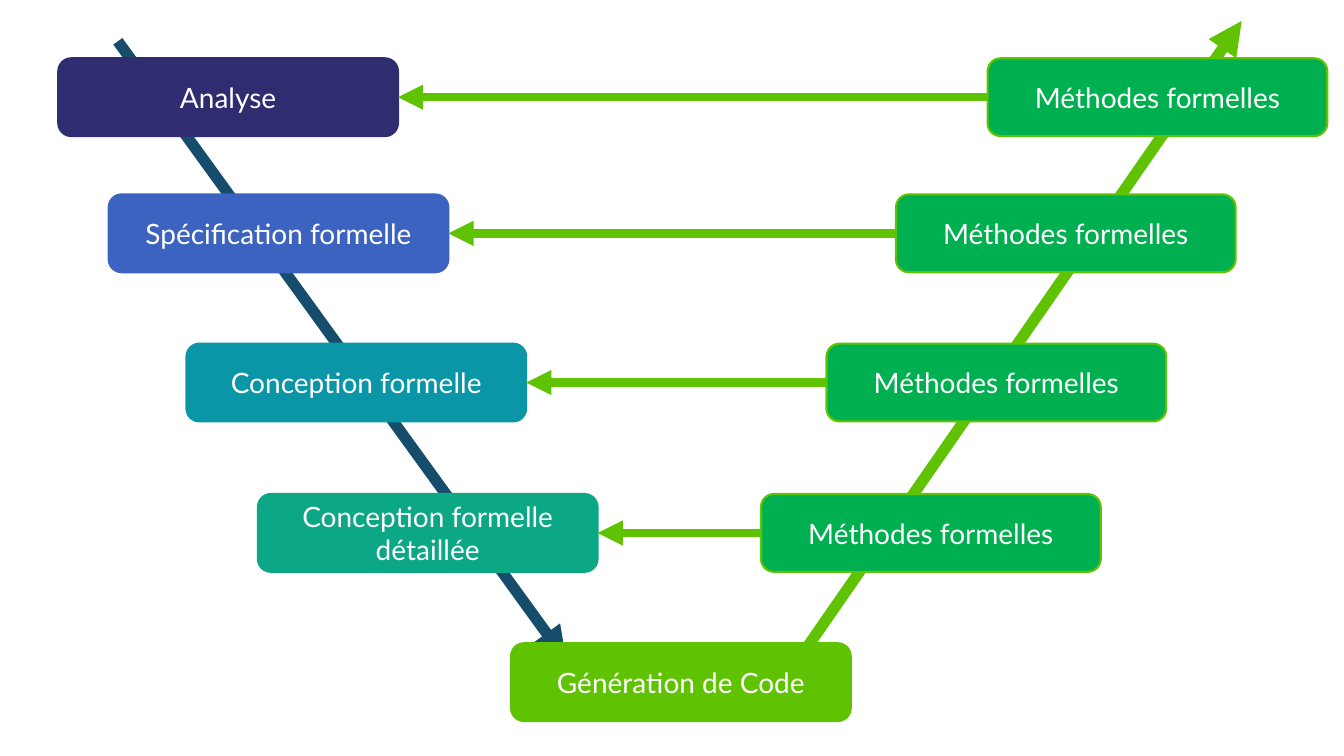
from lxml import etree
from pptx import Presentation
from pptx import util as u
from pptx.dml.color import RGBColor
from pptx.enum import shapes, text
from pptx.oxml import ns

# Content: label, left (cm), fill
FORMAL_METHODS = "Méthodes formelles"
GREEN, LIME, NAVY, WHITE = "00B050", "5FC303", "164D6C", "FFFFFF"

# Levels of the V: top (cm), design step, left of its formal methods box (cm)
LEVELS = [
    (1.47, ("Analyse", 1.47, "2F2D6F"), 24.89),
    (4.9, ("Spécification formelle", 2.74, "3C63C0"), 22.58),
    (8.66, ("Conception formelle", 4.7, "0A96A7"), 20.83),
    (12.45, ("Conception formelle détaillée", 6.5, "0CA785"), 19.18),
]
CODE_TOP, CODE_STEP = 16.21, ("Génération de Code", 12.88, LIME)

# Branches of the V: start, end (cm), colour
BRANCHES = [
    ((2.97, 1.04), (14.27, 16.64), NAVY),
    ((20.27, 16.41), (31.29, 0.53), LIME),
]
BOX_WIDTH, BOX_HEIGHT = 8.56, 1.96


def rgb(value):
    return RGBColor.from_string(value)


def add_arrow(slide, start, end, color, width, arrow_end):
    arrow = slide.shapes.add_connector(
        shapes.MSO_CONNECTOR.STRAIGHT, *map(u.Cm, start + end))
    arrow.line.color.rgb = rgb(color)
    arrow.line.width = u.Pt(width)
    line = arrow.line._get_or_add_ln()
    etree.SubElement(line, ns.qn("a:" + arrow_end), type="triangle")
    etree.SubElement(arrow._element.spPr, ns.qn("a:effectLst"))
    return arrow


def add_step(slide, top, label, left, fill, outline):
    step = slide.shapes.add_shape(
        shapes.MSO_SHAPE.ROUNDED_RECTANGLE,
        *map(u.Cm, (left, top, BOX_WIDTH, BOX_HEIGHT)))
    step.shadow.inherit = False
    step.fill.solid()
    step.fill.fore_color.rgb = rgb(fill)
    step.line.color.rgb = rgb(outline)
    step.line.width = u.Pt(1.5)
    frame = step.text_frame
    frame.word_wrap = True
    frame.vertical_anchor = text.MSO_ANCHOR.MIDDLE
    paragraph = frame.paragraphs[0]
    paragraph.alignment = text.PP_ALIGN.CENTER
    run = paragraph.add_run()
    run.text = label
    run.font.name = "Lato"
    run.font.size = u.Pt(20)
    run.font.color.rgb = rgb(WHITE)
    return step


def main():
    deck = Presentation()
    deck.slide_width, deck.slide_height = u.Cm(33.87), u.Cm(19.05)
    slide = deck.slides.add_slide(deck.slide_layouts[6])

    # Branches behind the boxes
    for start, end, color in BRANCHES:
        add_arrow(slide, start, end, color, 8, "tailEnd")

    # Bottom of the V
    add_step(slide, CODE_TOP, *CODE_STEP, LIME)

    # Each level: design step, formal methods, arrow between them
    for top, (label, left, fill), methods_left in LEVELS:
        design = add_step(slide, top, label, left, fill, fill)
        methods = add_step(slide, top, FORMAL_METHODS, methods_left, GREEN, LIME)
        middle = top + BOX_HEIGHT / 2
        check = add_arrow(slide, (left + BOX_WIDTH, middle),
                          (methods_left, middle), LIME, 6, "headEnd")
        check.begin_connect(design, 3)
        check.end_connect(methods, 1)

    deck.save("out.pptx")


if __name__ == "__main__":
    main()
